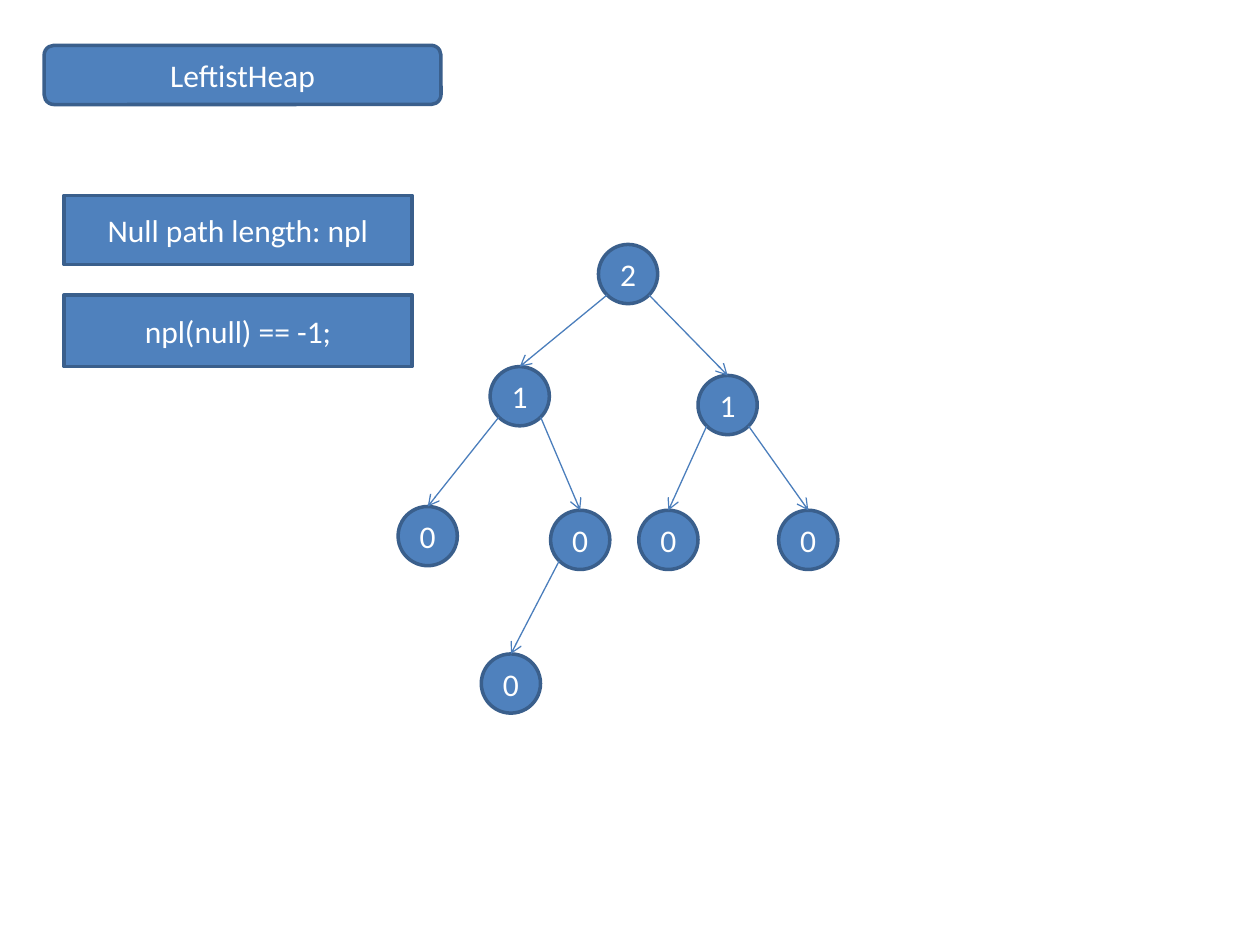
import math

from lxml import etree
from pptx import Presentation
from pptx import util as u
from pptx.dml.color import RGBColor
from pptx.enum import shapes, text
from pptx.oxml.ns import qn

NODE_SIZE = 0.47


def colour(value):
    return RGBColor.from_string(value)


class HeapSlide:
    font = "Calibri"
    size = 18
    fill = "4F81BD"
    outline = "3A5F8C"
    edge = "4B7EBC"
    ink = "FFFFFF"

    def __init__(self, deck):
        self.page = deck.slides.add_slide(deck.slide_layouts[6])

    def box(self, kind, label, left, top, width, height):
        box = self.page.shapes.add_shape(
            kind, u.Inches(left), u.Inches(top), u.Inches(width), u.Inches(height))
        box.shadow.inherit = False
        box.fill.solid()
        box.fill.fore_color.rgb = colour(self.fill)
        box.line.color.rgb = colour(self.outline)
        box.line.width = u.Pt(2)
        frame = box.text_frame
        frame.text = label
        frame.vertical_anchor = text.MSO_ANCHOR.MIDDLE
        para = frame.paragraphs[0]
        para.alignment = text.PP_ALIGN.CENTER
        span = para.runs[0]
        span.font.name = self.font
        span.font.size = u.Pt(self.size)
        span.font.color.rgb = colour(self.ink)
        return box

    def node(self, label, left, top):
        return self.box(shapes.MSO_SHAPE.OVAL, label, left, top, NODE_SIZE, NODE_SIZE)

    def arrow(self, parent, child):
        side = 1 if child.left > parent.left else -1
        radius = parent.width / 2
        reach = radius * math.sqrt(0.5)
        arrow = self.page.shapes.add_connector(
            shapes.MSO_CONNECTOR.STRAIGHT,
            round(parent.left + radius + side * reach),
            round(parent.top + radius + reach),
            child.left + child.width // 2, child.top)
        arrow.end_connect(child, 0)
        arrow.line.color.rgb = colour(self.edge)
        arrow.line.width = u.Pt(0.75)
        etree.SubElement(arrow.line._get_or_add_ln(), qn("a:tailEnd"), type="arrow")
        etree.SubElement(arrow._element.spPr, qn("a:effectLst"))


def main():
    deck = Presentation()
    deck.slide_width = u.Inches(10)
    deck.slide_height = u.Inches(7.5)
    slide = HeapSlide(deck)

    slide.box(shapes.MSO_SHAPE.ROUNDED_RECTANGLE, "LeftistHeap", 0.35, 0.36, 3.15, 0.47)
    slide.box(shapes.MSO_SHAPE.RECTANGLE, "Null path length: npl", 0.51, 1.55, 2.76, 0.55)
    slide.box(shapes.MSO_SHAPE.RECTANGLE, "npl(null) == -1;", 0.51, 2.34, 2.76, 0.57)

    tree = {
        "root": ("2", 4.75, 1.94, None),
        "left": ("1", 3.89, 2.91, "root"),
        "right": ("1", 5.54, 2.98, "root"),
        "left_left": ("0", 3.16, 4.02, "left"),
        "left_right": ("0", 4.37, 4.05, "left"),
        "right_left": ("0", 5.07, 4.05, "right"),
        "right_right": ("0", 6.18, 4.05, "right"),
        "deepest": ("0", 3.82, 5.19, "left_right"),
    }
    nodes = {}
    for name, (npl, left, top, parent) in tree.items():
        nodes[name] = slide.node(npl, left, top)
        if parent:
            slide.arrow(nodes[parent], nodes[name])

    deck.save("out.pptx")


if __name__ == "__main__":
    main()
